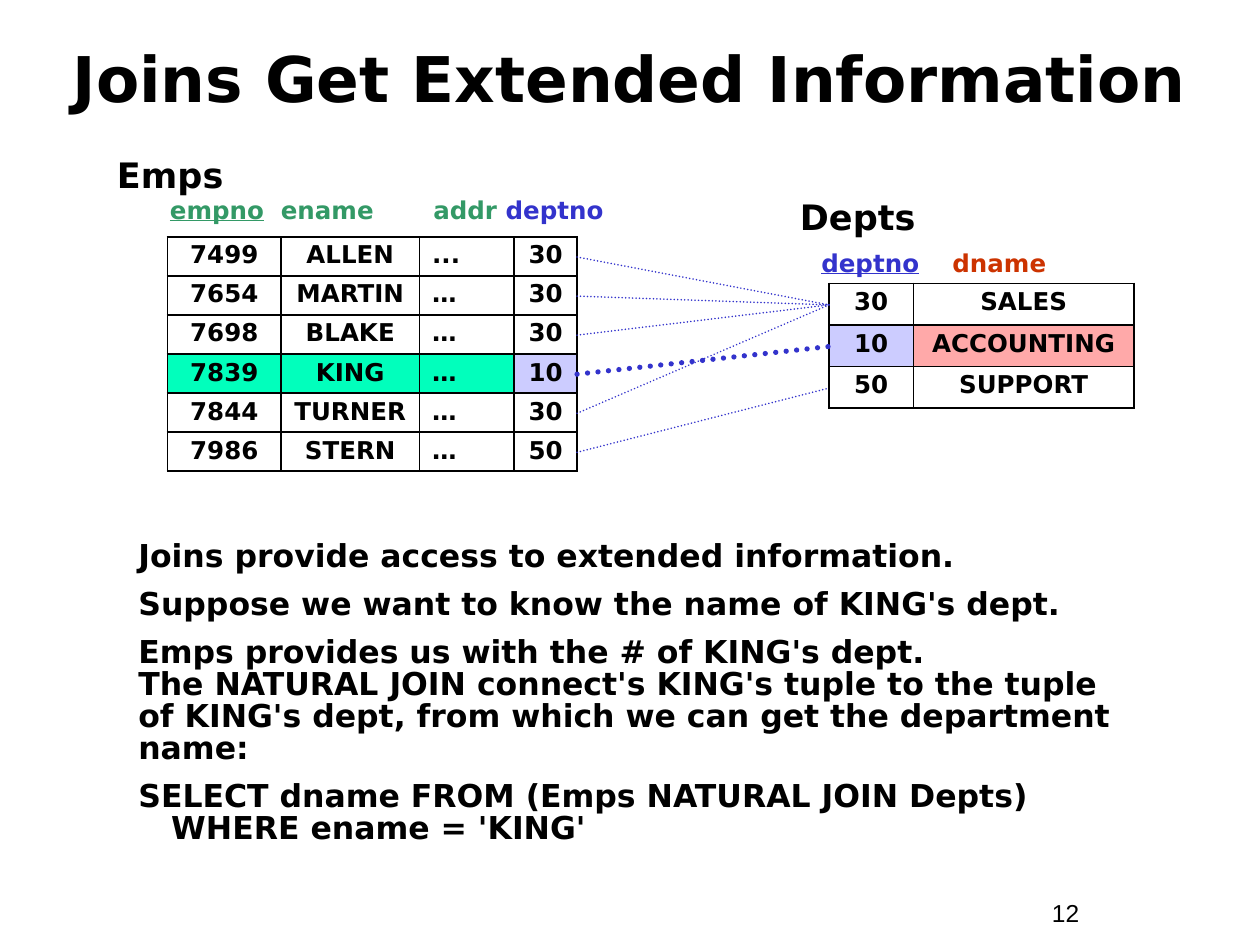
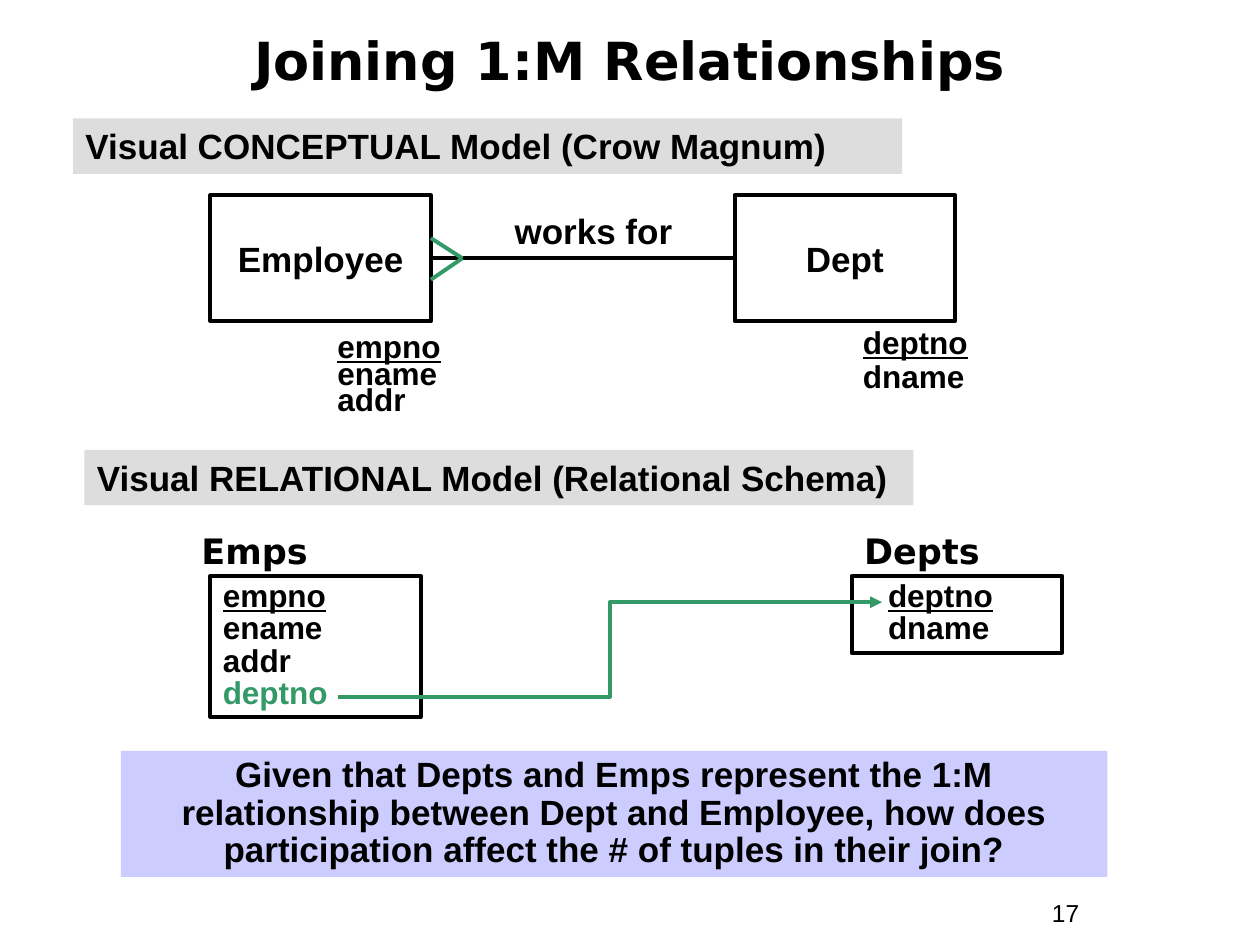
from dataclasses import dataclass
from typing import Optional, Sequence, Union

from lxml import etree
from pptx import Presentation
from pptx.dml.color import RGBColor
from pptx.enum.dml import MSO_LINE
from pptx.enum.shapes import MSO_CONNECTOR, MSO_SHAPE
from pptx.enum.text import MSO_ANCHOR, MSO_AUTO_SIZE, PP_ALIGN
from pptx.oxml.ns import qn
from pptx.util import Inches, Pt

# Shared look
BLACK = RGBColor(0x00, 0x00, 0x00)
GREEN = RGBColor(0x33, 0x99, 0x66)
BLUE = RGBColor(0x33, 0x33, 0xCC)
RED = RGBColor(0xCC, 0x33, 0x00)
GRAY = RGBColor(0xDD, 0xDD, 0xDD)
LAVENDER = RGBColor(0xCC, 0xCC, 0xFF)
PINK = RGBColor(0xFF, 0xA9, 0xA9)
MINT = RGBColor(0x01, 0xFF, 0xBC)
HEADING_FONT = "DejaVu Sans"
BODY_FONT = "Arial"
LEFT, CENTER = PP_ALIGN.LEFT, PP_ALIGN.CENTER
TOP, MIDDLE = MSO_ANCHOR.TOP, MSO_ANCHOR.MIDDLE
NO_AUTOFIT = MSO_AUTO_SIZE.NONE
ROUND_DOT = MSO_LINE.ROUND_DOT
RECTANGLE = MSO_SHAPE.RECTANGLE
STRAIGHT, ELBOW = MSO_CONNECTOR.STRAIGHT, MSO_CONNECTOR.ELBOW
LEFT_SIDE, RIGHT_SIDE = 1, 3
TITLE_ONLY = 5
THICK = 2.25


@dataclass(frozen=True)
class Span:
    text: str
    color: RGBColor = BLACK
    underline: bool = False


@dataclass(frozen=True)
class Area:
    left: float
    top: float
    width: float
    height: float

    def lengths(self) -> list:
        return [Inches(n) for n in (self.left, self.top, self.width, self.height)]


@dataclass(frozen=True)
class Relation:
    left: float
    top: float
    columns: Sequence[float]
    row_height: float
    rows: Sequence[Sequence[str]]
    fills: dict
    left_aligned: Sequence[int] = ()


Line = Union[str, Sequence[Span]]


def write(frame, lines: Sequence[Line], *, size: float = 20, font: str = BODY_FONT,
          bold: bool = True, align=LEFT, anchor=TOP, spacing: Optional[float] = None,
          before: float = 0, indent: float = 0, tabs: Sequence[float] = ()) -> None:
    """Fill a text frame, one paragraph per line."""
    frame.word_wrap = True
    frame.auto_size = NO_AUTOFIT
    frame.vertical_anchor = anchor
    for index, line in enumerate(lines):
        para = frame.paragraphs[0] if index == 0 else frame.add_paragraph()
        para.alignment = align
        if spacing:
            para.line_spacing = spacing
        if index and before:
            para.space_before = Pt(before)
        properties = para._p.get_or_add_pPr()
        if indent:
            properties.set("marL", str(Inches(indent)))
        if tabs:
            stops = etree.SubElement(properties, qn("a:tabLst"))
            for position in tabs:
                etree.SubElement(stops, qn("a:tab"), pos=str(Inches(position)), algn="l")
        for span in [Span(line)] if isinstance(line, str) else line:
            for part, text in enumerate(span.text.split("\n")):
                if part:
                    para.add_line_break()
                run = para.add_run()
                run.text = text
                run.font.size = Pt(size)
                run.font.name = font
                run.font.bold = bold
                run.font.underline = span.underline
                run.font.color.rgb = span.color


def add_text(page, area: Area, lines: Sequence[Line], **text_format) -> None:
    write(page.shapes.add_textbox(*area.lengths()).text_frame, lines, **text_format)


def add_box(page, area: Area, lines: Sequence[Line], *,
            fill: Optional[RGBColor] = None, **text_format):
    """A filled band, or an outlined box when no fill is given."""
    box = page.shapes.add_shape(RECTANGLE, *area.lengths())
    box.shadow.inherit = False
    if fill is None:
        box.fill.background()
        box.line.color.rgb = BLACK
        box.line.width = Pt(THICK)
    else:
        box.fill.solid()
        box.fill.fore_color.rgb = fill
        box.line.fill.background()
    write(box.text_frame, lines, **text_format)
    return box


def add_line(page, start: tuple, end: tuple, color: RGBColor, width: float, *,
             kind=STRAIGHT, dotted: bool = False, arrow: bool = False):
    line = page.shapes.add_connector(kind, *map(Inches, start + end))
    line.line.color.rgb = color
    line.line.width = Pt(width)
    outline = line.line._get_or_add_ln()
    if dotted:
        line.line.dash_style = ROUND_DOT
        outline.set("cap", "rnd")
    if arrow:
        etree.SubElement(outline, qn("a:tailEnd"), type="triangle")
    etree.SubElement(line._element.spPr, qn("a:effectLst"))
    return line


def set_borders(cell) -> None:
    properties = cell._tc.get_or_add_tcPr()
    for index, side in enumerate(("lnL", "lnR", "lnT", "lnB")):
        border = etree.Element(qn(f"a:{side}"), w=str(Pt(1.08)))
        fill = etree.SubElement(border, qn("a:solidFill"))
        etree.SubElement(fill, qn("a:srgbClr"), val=str(BLACK))
        properties.insert(index, border)


def add_relation(page, relation: Relation) -> None:
    area = Area(relation.left, relation.top, sum(relation.columns),
                relation.row_height * len(relation.rows))
    table = page.shapes.add_table(len(relation.rows), len(relation.columns),
                                  *area.lengths()).table
    table.first_row = table.horz_banding = False
    for column, width in zip(table.columns, relation.columns):
        column.width = Inches(width)
    for r, values in enumerate(relation.rows):
        table.rows[r].height = Inches(relation.row_height)
        for c, value in enumerate(values):
            cell = table.cell(r, c)
            cell.margin_left = cell.margin_right = Inches(0.1)
            cell.margin_top = cell.margin_bottom = Inches(0.05)
            if (r, c) in relation.fills:
                cell.fill.solid()
                cell.fill.fore_color.rgb = relation.fills[r, c]
            else:
                cell.fill.background()
            set_borders(cell)
            para_align = LEFT if c in relation.left_aligned else CENTER
            write_cell(cell, value, para_align)


def write_cell(cell, value: str, align) -> None:
    para = cell.text_frame.paragraphs[0]
    para.alignment = align
    para.line_spacing = 0.9
    run = para.add_run()
    run.text = value
    run.font.size = Pt(14)
    run.font.name = HEADING_FONT
    run.font.bold = True
    run.font.color.rgb = BLACK


def add_page(deck, title: str, area: Area, size: float, number: int):
    """A page with its title and page number."""
    page = deck.slides.add_slide(deck.slide_layouts[TITLE_ONLY])
    heading = page.shapes.title
    heading.left, heading.top, heading.width, heading.height = area.lengths()
    write(heading.text_frame, [title], size=size, font=HEADING_FONT,
          align=CENTER, anchor=MIDDLE)
    add_text(page, Area(8.25, 7.08, 0.92, 0.34), [str(number)], size=14, bold=False)
    return page


def add_relation_name(page, name: str, left: float, top: float) -> None:
    add_text(page, Area(left, top, 2.15, 0.44), [name], font=HEADING_FONT)


def build_extended_information(deck) -> None:
    page = add_page(deck, "Joins Get Extended Information",
                    Area(0.33, 0.15, 9.33, 0.92), 36, 12)

    # Depts relation
    depts = Relation(6.58, 2.25, (0.67, 1.75), 0.33,
                     (("30", "SALES"), ("10", "ACCOUNTING"), ("50", "SUPPORT")),
                     {(1, 0): LAVENDER, (1, 1): PINK})
    add_relation(page, depts)
    add_text(page, Area(6.42, 1.92, 2.5, 0.34),
             [[Span("deptno", BLUE, True), Span("\t"), Span("dname", RED),
               Span("\t", BLACK, True)]],
             size=14, font=HEADING_FONT, tabs=(1.04, 1.93))
    add_relation_name(page, "Depts", 6.25, 1.5)

    # Emps relation
    add_text(page, Area(1.25, 1.5, 3.75, 0.34),
             [[Span("empno", GREEN, True), Span("\tename\taddr ", GREEN),
               Span("deptno", BLUE)]],
             size=14, font=HEADING_FONT, tabs=(0.88, 2.09))
    emps = Relation(1.33, 1.88, (0.9, 1.1, 0.75, 0.5), 0.31,
                    (("7499", "ALLEN", "...", "30"),
                     ("7654", "MARTIN", "…", "30"),
                     ("7698", "BLAKE", "…", "30"),
                     ("7839", "KING", "…", "10"),
                     ("7844", "TURNER", "…", "30"),
                     ("7986", "STERN", "…", "50")),
                    {(3, 0): MINT, (3, 1): MINT, (3, 2): MINT, (3, 3): LAVENDER},
                    left_aligned=(2,))
    add_relation(page, emps)
    add_relation_name(page, "Emps", 0.83, 1.17)

    # Each employee row leads to the row with the same deptno
    dept_numbers = [row[0] for row in depts.rows]
    for emp_row, (_, name, _, deptno) in enumerate(emps.rows):
        dept_row = dept_numbers.index(deptno)
        add_line(page, (4.58, 2.04 + emp_row * emps.row_height),
                 (depts.left, 2.42 + dept_row * depts.row_height),
                 BLUE, 3 if name == "KING" else 1, dotted=True)

    # Explanation
    add_text(page, Area(1, 4.25, 8.17, 2.26), [
        "Joins provide access to extended information.",
        "Suppose we want to know the name of KING's dept.",
        "Emps provides us with the # of KING's dept.\n"
        "The NATURAL JOIN connect's KING's tuple to the tuple of KING's dept, "
        "from which we can get the department name:",
        "SELECT dname FROM (Emps NATURAL JOIN Depts)\n   WHERE ename = 'KING'",
    ], size=18, font=HEADING_FONT, spacing=0.85, before=9)


def build_one_to_many(deck) -> None:
    page = add_page(deck, "Joining 1:M Relationships",
                    Area(0.25, 0.18, 9.5, 0.58), 30, 17)
    empno = [Span("empno", underline=True)]
    deptno = [Span("deptno", underline=True)]

    # Conceptual model
    dept, employee = (
        add_box(page, Area(left, 1.55, 1.75, 1), [name], align=CENTER, anchor=MIDDLE)
        for name, left in (("Dept", 5.83), ("Employee", 1.67)))
    works_for = add_line(page, (5.83, 2.05), (3.42, 2.05), BLACK, THICK)
    works_for.begin_connect(dept, LEFT_SIDE)
    works_for.end_connect(employee, RIGHT_SIDE)
    for toe in (1.89, 2.22):
        add_line(page, (3.67, 2.05), (3.42, toe), GREEN, THICK)
    add_text(page, Area(3.92, 1.61, 1.58, 0.44), ["works for"], align=CENTER)
    add_text(page, Area(6.75, 2.55, 1.17, 0.64), [deptno, "dname"], size=18, spacing=0.9)
    add_text(page, Area(2.58, 2.63, 1.17, 0.73), [empno, "ename", "addr"],
             size=18, spacing=0.7)

    # Relational model
    add_relation_name(page, "Emps", 1.5, 4.15)
    add_box(page, Area(1.67, 4.57, 1.67, 1.12),
            [empno, "ename", "addr", [Span("deptno", GREEN)]], size=18, spacing=0.85)
    add_relation_name(page, "Depts", 6.76, 4.15)
    add_box(page, Area(6.76, 4.57, 1.67, 0.61), [deptno, "dname"],
            size=18, spacing=0.85, indent=0.19)
    add_line(page, (2.68, 5.53), (7, 4.78), GREEN, THICK, kind=ELBOW, arrow=True)

    # Section bands and closing question
    for text, left, top in (
            ("Visual CONCEPTUAL Model (Crow Magnum)", 0.58, 0.94),
            ("Visual RELATIONAL Model (Relational Schema)", 0.67, 3.57)):
        add_box(page, Area(left, top, 6.58, 0.44), [text], fill=GRAY)
    add_box(page, Area(0.96, 5.96, 7.83, 1),
            ["Given that Depts and Emps represent the 1:M relationship between Dept "
             "and Employee, how does participation affect the # of tuples in their join?"],
            fill=LAVENDER, align=CENTER, spacing=0.9)


def main() -> None:
    deck = Presentation()
    deck.slide_width, deck.slide_height = Inches(10), Inches(7.5)
    build_extended_information(deck)
    build_one_to_many(deck)
    deck.save("out.pptx")


if __name__ == "__main__":
    main()
